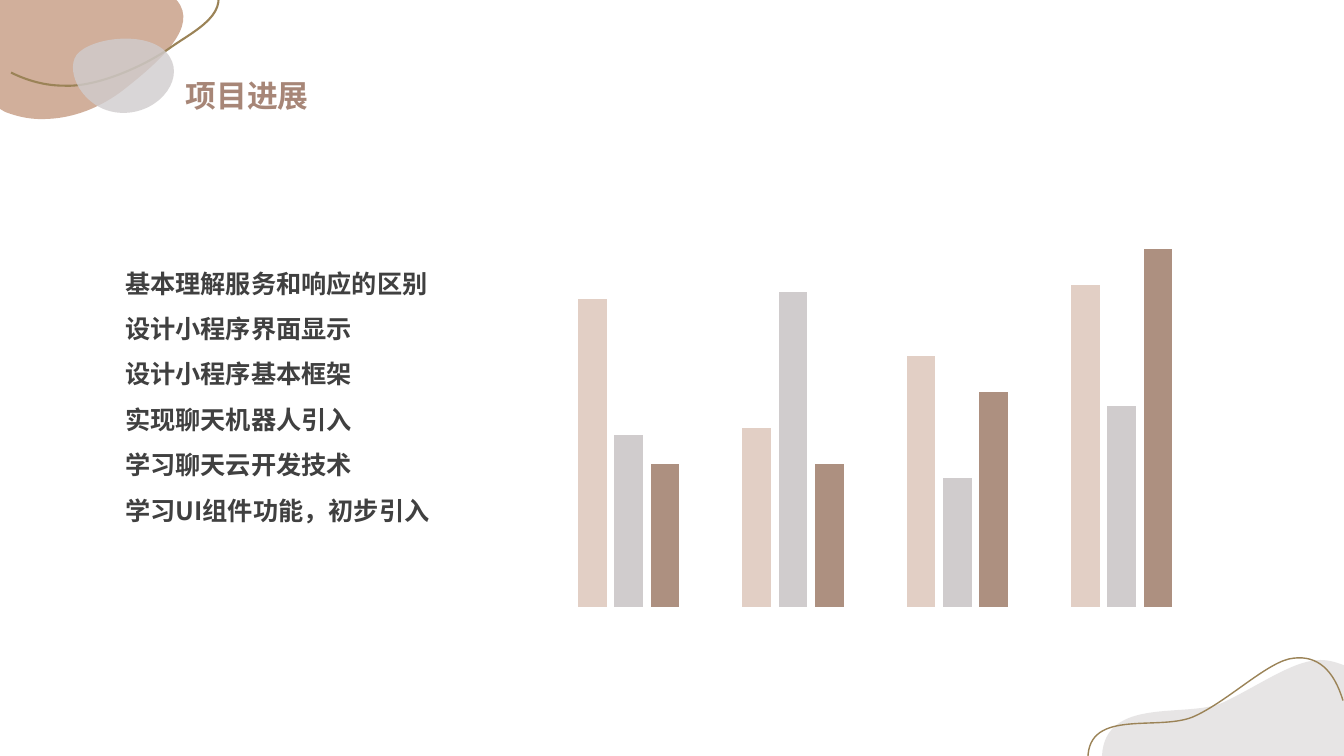
from collections import namedtuple
from dataclasses import dataclass

from lxml import etree
from pptx import Presentation
from pptx.chart.data import CategoryChartData
from pptx.dml.color import RGBColor
from pptx.enum.chart import XL_CHART_TYPE
from pptx.enum.text import MSO_ANCHOR, MSO_AUTO_SIZE
from pptx.oxml import parse_xml
from pptx.oxml.ns import nsdecls, qn
from pptx.util import Inches, Pt

COLUMNS = XL_CHART_TYPE.COLUMN_CLUSTERED
TOP = MSO_ANCHOR.TOP
GROW = MSO_AUTO_SIZE.SHAPE_TO_FIT_TEXT
BLANK_LAYOUT = 6
WIDTH, HEIGHT = 13.33, 7.5

Box = namedtuple("Box", "left top width height")


@dataclass(frozen=True)
class Theme:
    font: str = "Noto Sans CJK SC"
    title_size: int = 22
    body_size: int = 18
    chart_size: int = 10
    title: str = "A78677"
    body: str = "404040"
    chart_text: str = "000000"
    tan: str = "D1AE9A"
    grey: str = "D0CCCD"
    gold: str = "9B8357"
    bars: tuple = ("E2CFC5", "D0CCCD", "AD9080")


THEME = Theme()

TITLE = "项目进展"
PROGRESS = [
    "基本理解服务和响应的区别",
    "设计小程序界面显示",
    "设计小程序基本框架",
    "实现聊天机器人引入",
    "学习聊天云开发技术",
    "学习UI组件功能，初步引入",
]
CATEGORIES = ["1", "2", "3", "4"]
SERIES = {
    "Series 1": (86, 50, 70, 90),
    "Series 2": (48, 88, 36, 56),
    "Series 3": (40, 40, 60, 100),
}

# Outlines: a start point, then 2 numbers for a line or 6 for a Bézier curve,
# in inches from the corner of the region.
TAN_BLOB = [(0.47, 1.18), (0.73, 1.17, 1, 1.07, 1.24, 0.88),
            (1.62, 0.58, 1.96, 0.26, 1.76, 0.01), (1.74, -0.01), (0, -0.01), (0, 1.08),
            (0.05, 1.11), (0.18, 1.16, 0.32, 1.19, 0.47, 1.18)]
TOP_CURVE = [(0.11, 0.72), (0.27, 0.8, 0.45, 0.85, 0.63, 0.85),
             (0.96, 0.87, 1.44, 0.65, 1.68, 0.48), (1.93, 0.3, 2.33, 0.13, 2.1, -0.2)]
GREY_PEBBLE = [(0.74, 0.58), (0.66, 0.77, 0.87, 1.13, 1.24, 1.12),
               (1.6, 1.11, 1.86, 0.75, 1.65, 0.52), (1.43, 0.28, 0.81, 0.39, 0.74, 0.58)]
GREY_HILL = [(2.26, 0.05), (2.36, 0.04, 2.45, 0.07, 2.53, 0.1), (2.53, 1), (0.13, 1),
             (0.16, 0.4, 0.98, 0.63, 1.33, 0.47), (1.67, 0.31, 2, 0.07, 2.26, 0.05)]
HILL_CURVE = [(-0.01, 1.03), (-0.01, 0.51, 0.72, 0.77, 1.06, 0.6),
              (1.4, 0.44, 1.79, 0.05, 2.03, 0.03), (2.27, 0, 2.43, 0.15, 2.52, 0.45)]


def pairs(seg):
    return list(zip(seg[::2], seg[1::2]))


def flatten(outline, steps=16):
    """Sample the outline, so that its true extent is known."""
    points = [outline[0]]
    for seg in outline[1:]:
        if len(seg) == 2:
            points.append(seg)
            continue
        knots = [points[-1]] + pairs(seg)
        for i in range(1, steps + 1):
            t = i / steps
            weights = ((1 - t) ** 3, 3 * t * (1 - t) ** 2, 3 * t * t * (1 - t), t ** 3)
            points.append(tuple(sum(w * k[axis] for w, k in zip(weights, knots))
                                for axis in (0, 1)))
    return points


def set_curves(sp, box, outline, closed):
    """Give the freeform the outline's own lines and Bézier curves."""
    geometry = next(sp._element.iter(qn("a:path")))
    for old in list(geometry):
        geometry.remove(old)
    for i, seg in enumerate(outline):
        tag = "a:moveTo" if i == 0 else "a:lnTo" if len(seg) == 2 else "a:cubicBezTo"
        step = etree.SubElement(geometry, qn(tag))
        for x, y in pairs(seg):
            pt = etree.SubElement(step, qn("a:pt"))
            pt.set("x", str(Inches(box.left + x) - sp.left))
            pt.set("y", str(Inches(box.top + y) - sp.top))
    if closed:
        etree.SubElement(geometry, qn("a:close"))


def add_outline(s, box, outline, fill=None, alpha=100, line=None, weight=1):
    points = [(Inches(box.left + x), Inches(box.top + y)) for x, y in flatten(outline)]
    builder = s.shapes.build_freeform(*points[0])
    builder.add_line_segments(points[1:], close=fill is not None)
    sp = builder.convert_to_shape()
    set_curves(sp, box, outline, closed=fill is not None)
    sp.shadow.inherit = False
    if fill:
        sp.fill.solid()
        sp.fill.fore_color.rgb = RGBColor.from_string(fill)
        color = sp.fill._xPr.find(qn("a:solidFill"))[0]
        etree.SubElement(color, qn("a:alpha")).set("val", str(alpha * 1000))
    else:
        sp.fill.background()
    if line:
        sp.line.color.rgb = RGBColor.from_string(line)
        sp.line.width = Pt(weight)
    else:
        sp.line.fill.background()


def add_text(s, box, lines, size, color, spacing, bold=True):
    sp = s.shapes.add_textbox(*map(Inches, box))
    tf = sp.text_frame
    tf.word_wrap = True
    tf.auto_size = GROW
    tf.vertical_anchor = TOP
    tf.margin_left = tf.margin_top = tf.margin_right = tf.margin_bottom = 0
    for i, line in enumerate(lines):
        p = tf.paragraphs[0] if i == 0 else tf.add_paragraph()
        p.line_spacing = spacing
        r = p.add_run()
        r.text = line
        r.font.size = Pt(size)
        r.font.bold = bold
        r.font.name = THEME.font
        r.font.color.rgb = RGBColor.from_string(color)
        etree.SubElement(r.font._element, qn("a:ea")).set("typeface", THEME.font)


def add_top_ornament(s, box):
    add_outline(s, box, TAN_BLOB, fill=THEME.tan, alpha=98)
    add_outline(s, box, TOP_CURVE, line=THEME.gold, weight=1.5)
    add_outline(s, box, GREY_PEBBLE, fill=THEME.grey, alpha=80)


def add_bottom_ornament(s, box):
    add_outline(s, box, GREY_HILL, fill=THEME.grey, alpha=50)
    add_outline(s, box, HILL_CURVE, line=THEME.gold)


def set_plot_area(chart, box, plot):
    """Fix the inner plot area, given in inches inside the chart's box."""
    plot_area = chart._chartSpace.chart.plotArea
    for old in plot_area.findall(qn("c:layout")):
        plot_area.remove(old)
    x, w = plot.left / box.width, plot.width / box.width
    y, h = plot.top / box.height, plot.height / box.height
    plot_area.insert(0, parse_xml(
        f'<c:layout {nsdecls("c")}><c:manualLayout><c:layoutTarget val="inner"/>'
        '<c:xMode val="edge"/><c:yMode val="edge"/>'
        f'<c:x val="{x}"/><c:y val="{y}"/><c:w val="{w}"/><c:h val="{h}"/>'
        '</c:manualLayout></c:layout>'))


def add_progress_chart(s, box):
    data = CategoryChartData()
    data.categories = CATEGORIES
    for name, values in SERIES.items():
        data.add_series(name, values)
    chart = s.shapes.add_chart(COLUMNS, *map(Inches, box), data).chart
    chart.has_legend = False
    chart.has_title = False
    chart.font.name = THEME.font
    chart.font.size = Pt(THEME.chart_size)
    chart.font.color.rgb = RGBColor.from_string(THEME.chart_text)
    chart.value_axis.minimum_scale = 0
    chart.value_axis.maximum_scale = 120
    chart.value_axis.has_major_gridlines = False
    for axis in (chart.category_axis, chart.value_axis):
        axis.visible = False
    plot = chart.plots[0]
    plot.vary_by_categories = False
    plot.gap_width = 219
    plot.overlap = -27
    for series, color in zip(plot.series, THEME.bars):
        series.format.fill.solid()
        series.format.fill.fore_color.rgb = RGBColor.from_string(color)
    set_plot_area(chart, box, Box(0.15, 0.01, 6.52, 4.26))


def add_progress_slide(prs):
    s = prs.slides.add_slide(prs.slide_layouts[BLANK_LAYOUT])
    add_top_ornament(s, Box(0, 0, 2.2, 1.2))
    add_bottom_ornament(s, Box(WIDTH - 2.53, HEIGHT - 1, 2.53, 1))
    add_text(s, Box(1.84, 0.69, 2.25, 0.44), [TITLE],
             size=THEME.title_size, color=THEME.title, spacing=1.2)
    add_text(s, Box(1.24, 2.51, 3.74, 2.73), PROGRESS,
             size=THEME.body_size, color=THEME.body, spacing=1.5)
    add_progress_chart(s, Box(5.27, 1.75, 6.83, 4.43))


def main():
    prs = Presentation()
    prs.slide_width, prs.slide_height = Inches(WIDTH), Inches(HEIGHT)
    add_progress_slide(prs)
    prs.save("out.pptx")


if __name__ == "__main__":
    main()
